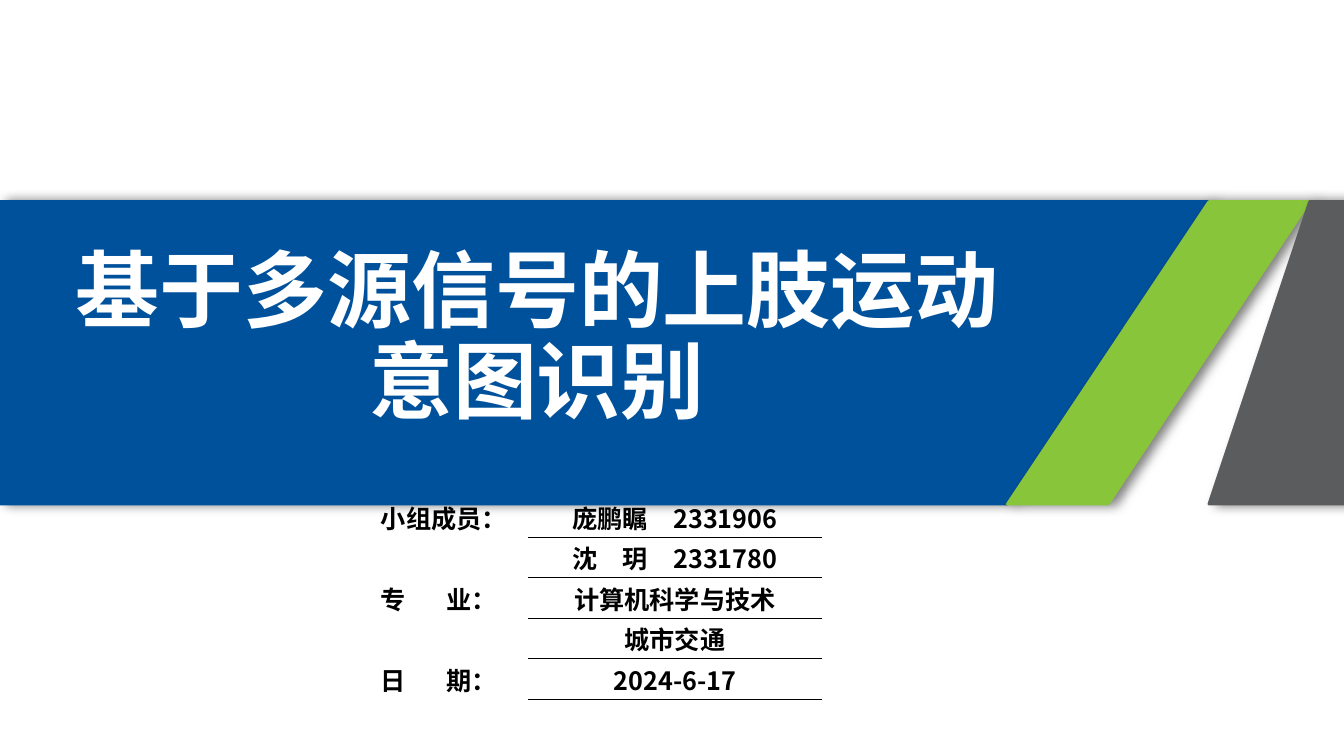
import pptx
import pptx.dml.color
import pptx.enum.text
import pptx.oxml
import pptx.oxml.ns
import pptx.util

Inches = pptx.util.Inches
Pt = pptx.util.Pt
PP_ALIGN = pptx.enum.text.PP_ALIGN
MSO_ANCHOR = pptx.enum.text.MSO_ANCHOR
A_NS = pptx.oxml.ns.nsdecls("a")
FONT = "Noto Sans CJK SC"


def rgb(value):
    return pptx.dml.color.RGBColor.from_string(value)


def format_font(font, size, color):
    font_format = {"name": FONT, "size": Pt(size), "bold": True}
    for attribute, value in font_format.items():
        setattr(font, attribute, value)
    font.color.rgb = rgb(color)
    # East Asian characters take their typeface from a:ea
    font.fill  # keeps the fill ahead of the typefaces
    latin = font._element.find(pptx.oxml.ns.qn("a:latin"))
    latin.addnext(pptx.oxml.parse_xml(f'<a:ea {A_NS} typeface="{FONT}"/>'))


deck = pptx.Presentation()
deck.slide_width, deck.slide_height = Inches(13.34), Inches(7.5)
slide = deck.slides.add_slide(deck.slide_layouts[5])

# Slanted bands: colour and corner points in inches
bands = {
    "00519C": [(0, 4.58), (0, 2.18), (11.62, 2.18), (9.83, 4.59)],
    "89C53B": [(12.78, 2.2), (11.02, 4.58), (10.19, 4.56), (11.98, 2.16)],
    "5B5C5E": [(13.6, 2.17), (13.6, 4.56), (11.5, 4.56), (13.29, 2.16)],
}
SHADOW = (
    f'<a:effectLst {A_NS}><a:outerShdw blurRad="{Pt(8)}" dist="{Pt(5)}" dir="0">'
    '<a:srgbClr val="000000"><a:alpha val="50000"/></a:srgbClr>'
    "</a:outerShdw></a:effectLst>"
)
for color, corners in bands.items():
    outline = slide.shapes.build_freeform(*corners[0], scale=Inches(1))
    outline.add_line_segments(corners[1:], close=True)
    band = outline.convert_to_shape()
    band.fill.solid()
    band.fill.fore_color.rgb = rgb(color)
    band.line.color.rgb = rgb(color)
    band.line.width = Pt(2)
    band._element.spPr.append(pptx.oxml.parse_xml(SHADOW))

# Title, brought in front of the bands
title = slide.shapes.title
slide.shapes._spTree.append(title._element)
title_place = {"left": 0.45, "top": 2.45, "width": 9.76, "height": 1.82}
for attribute, value in title_place.items():
    setattr(title, attribute, Inches(value))
title_frame = title.text_frame
title_format = {
    "text": "基于多源信号的上肢运动意图识别",
    "word_wrap": True,
    "auto_size": pptx.enum.text.MSO_AUTO_SIZE.NONE,
    "vertical_anchor": MSO_ANCHOR.BOTTOM,
    "margin_left": 0, "margin_right": 0, "margin_top": 0, "margin_bottom": 0,
}
for attribute, value in title_format.items():
    setattr(title_frame, attribute, value)
heading = title_frame.paragraphs[0]
heading.alignment = PP_ALIGN.CENTER
heading.line_spacing = 0.9
format_font(heading.runs[0].font, 60, "FFFFFF")

# Group details: label and underlined value
details = [
    ("小组成员：", "庞鹏瞩　2331906"),
    ("", "沈　玥　2331780"),
    ("专\t业：", "计算机科学与技术"),
    ("", "城市交通"),
    ("日\t期：", "2024-6-17"),
]
ROW_HEIGHT = 0.4
table = slide.shapes.add_table(
    len(details), 2, Inches(3.68), Inches(4.93), Inches(4.48), Inches(ROW_HEIGHT * len(details))
).table
table.first_row = table.horz_banding = False
table.columns[0].width, table.columns[1].width = Inches(1.56), Inches(2.92)
TAB_STOP = f'<a:tabLst {A_NS}><a:tab pos="{Inches(0.65)}" algn="l"/></a:tabLst>'

for row, texts in enumerate(details):
    for column, text in enumerate(texts):
        cell = table.cell(row, column)
        cell.margin_top = cell.margin_bottom = Inches(0.02)
        cell.vertical_anchor = MSO_ANCHOR.MIDDLE
        cell.fill.background()
        entry = cell.text_frame.paragraphs[0]
        if "\t" in text:
            entry._p.get_or_add_pPr().append(pptx.oxml.parse_xml(TAB_STOP))
        entry.alignment = PP_ALIGN.CENTER if column else PP_ALIGN.LEFT
        if text:
            entry.add_run().text = text
            format_font(entry.runs[0].font, 18, "000000")
        else:
            entry.font.size = Pt(18)

        ruled = {"L": False, "R": False, "T": column and row, "B": column}
        for position, (side, visible) in enumerate(ruled.items()):
            paint = '<a:solidFill><a:srgbClr val="000000"/></a:solidFill>' if visible else "<a:noFill/>"
            border = f'<a:ln{side} {A_NS} w="{Pt(1)}">{paint}</a:ln{side}>'
            cell._tc.get_or_add_tcPr().insert(position, pptx.oxml.parse_xml(border))

deck.save("out.pptx")
